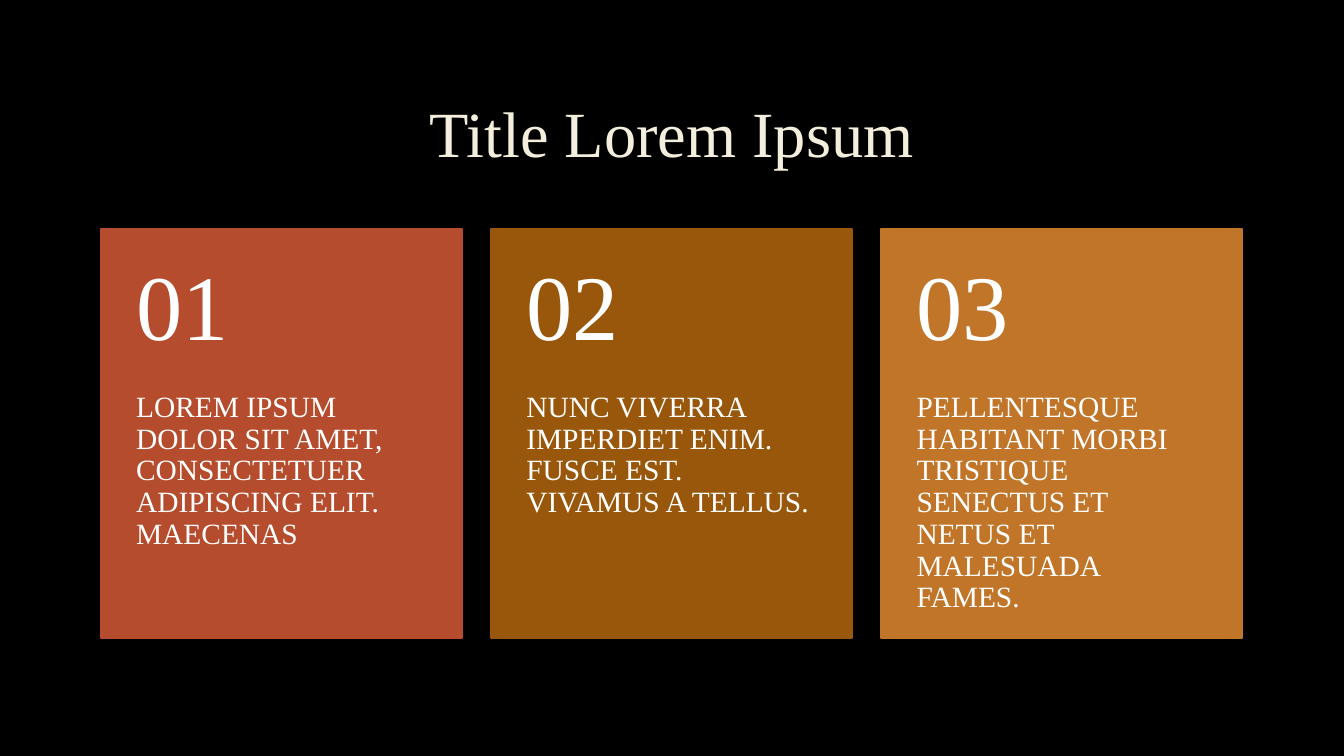
import dataclasses

import pptx
import pptx.dml.color
import pptx.enum.shapes
import pptx.enum.text
import pptx.oxml
import pptx.oxml.ns
import pptx.util

Inches = pptx.util.Inches
Pt = pptx.util.Pt
ALIGN = pptx.enum.text.PP_ALIGN
ANCHOR = pptx.enum.text.MSO_ANCHOR


@dataclasses.dataclass(frozen=True)
class Theme:
    font: str = "Times New Roman"
    background: str = "000000"
    title: str = "F4EEDC"
    title_outline: str = "404040"
    card_text: str = "FFFFFF"
    cards: tuple = ("B54C2D", "99570C", "C17529")
    title_size: int = 46
    number_size: int = 66
    body_size: int = 21


def rgb(value):
    return pptx.dml.color.RGBColor.from_string(value)


def write_text(tf, text, *, font, size, color, align=ALIGN.LEFT,
               anchor=ANCHOR.TOP, insets=(0.1, 0.05, 0.1, 0.05)):
    """Put one formatted paragraph in a text frame and return its run."""
    tf.word_wrap = True
    tf.vertical_anchor = anchor
    tf.margin_left, tf.margin_top, tf.margin_right, tf.margin_bottom = map(Inches, insets)
    p = tf.paragraphs[0]
    p.alignment = align
    p.line_spacing = 0.9
    r = p.add_run()
    r.text = text
    r.font.name = font
    r.font.size = Pt(size)
    r.font.color.rgb = rgb(color)
    return r


class SlideBuilder:
    def __init__(self, slide, theme):
        self.slide = slide
        self.theme = theme

    def background(self):
        fill = self.slide.background.fill
        fill.solid()
        fill.fore_color.rgb = rgb(self.theme.background)

    def text(self, shapes, text, left, top, width, height, **style):
        box = shapes.add_textbox(Inches(left), Inches(top), Inches(width), Inches(height))
        return write_text(box.text_frame, text, font=self.theme.font, **style)

    def title(self, text):
        r = self.text(self.slide.shapes, text, 1, 0.67, 11.32, 1.38,
                      size=self.theme.title_size, color=self.theme.title,
                      align=ALIGN.CENTER, anchor=ANCHOR.MIDDLE)
        # Faint outline around the letters
        outline = pptx.oxml.parse_xml(
            f'<a:ln {pptx.oxml.ns.nsdecls("a")} w="{Pt(0.75)}"><a:solidFill>'
            f'<a:srgbClr val="{self.theme.title_outline}"><a:alpha val="10000"/></a:srgbClr>'
            '</a:solidFill></a:ln>')
        r.font._element.insert(0, outline)

    def panel(self, shapes, left, top, width, height, color):
        sp = shapes.add_shape(pptx.enum.shapes.MSO_SHAPE.RECTANGLE, Inches(left),
                              Inches(top), Inches(width), Inches(height))
        sp.shadow.inherit = False
        sp.fill.solid()
        sp.fill.fore_color.rgb = rgb(color)
        sp.line.color.rgb = rgb(color)
        sp.line.width = Pt(1.25)

    def card(self, number, body, left, color):
        top, width, height, number_height = 2.27, 3.58, 4.06, 1.62
        shapes = self.slide.shapes.add_group_shape().shapes
        self.panel(shapes, left, top, width, height, color)
        self.text(shapes, body, left, top + number_height, width, height - number_height,
                  size=self.theme.body_size, color=self.theme.card_text,
                  insets=(0.35, 0, 0.35, 0.36))
        self.text(shapes, number, left, top, width, number_height,
                  size=self.theme.number_size, color=self.theme.card_text,
                  anchor=ANCHOR.MIDDLE, insets=(0.35, 0.18, 0.35, 0.18))


CARDS = (
    "LOREM IPSUM DOLOR SIT AMET, CONSECTETUER ADIPISCING ELIT. MAECENAS",
    "NUNC VIVERRA IMPERDIET ENIM. FUSCE EST. VIVAMUS A TELLUS.",
    "PELLENTESQUE HABITANT MORBI TRISTIQUE SENECTUS ET NETUS ET MALESUADA FAMES.",
)


def main():
    prs = pptx.Presentation()
    prs.slide_width = Inches(13.33)
    prs.slide_height = Inches(7.5)
    theme = Theme()
    builder = SlideBuilder(prs.slides.add_slide(prs.slide_layouts[6]), theme)

    # Background and heading
    builder.background()
    builder.title("Title Lorem Ipsum")

    # Numbered cards, evenly spaced
    for i, (body, color) in enumerate(zip(CARDS, theme.cards)):
        builder.card(f"{i + 1:02}", body, 1 + 3.87 * i, color)

    prs.save("out.pptx")


if __name__ == "__main__":
    main()
